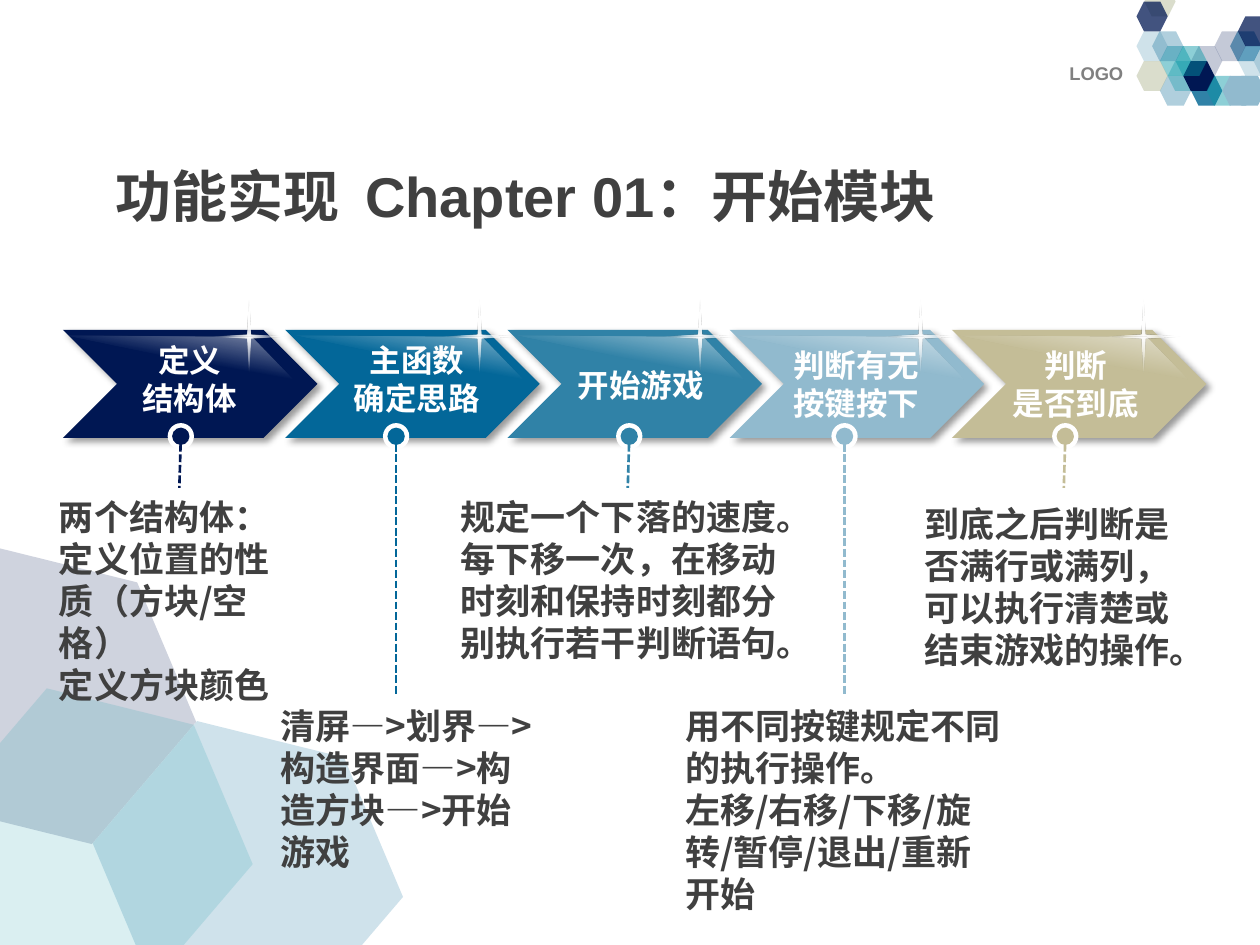
import pptx
import pptx.dml.color
import pptx.enum.dml
import pptx.enum.shapes
import pptx.enum.text
import pptx.oxml
import pptx.oxml.ns
import pptx.util
import lxml.etree

Cm = pptx.util.Cm
SHAPES = pptx.enum.shapes.MSO_SHAPE
CJK = "Noto Sans CJK SC"
GREY = "404040"
DRAWING = 'xmlns:a="http://schemas.openxmlformats.org/drawingml/2006/main"'

ARROW_WIDTH, ARROW_HEIGHT, ARROW_PITCH = 5.13, 2.18, 4.48

# Offsets in cm are measured from the top left corner of each arrow.
STAGES = [
    dict(color="001753", label=["定义", "结构体"], label_at=(0.56, 0.11, 3.99),
         star_x=2.95, pin_x=2.11, pin_length=1.04, drift=-0.03,
         body=["两个结构体：", "定义位置的性质（方块/空格）", "定义方块颜色"],
         body_at=(-0.33, 3.21, 5.41, 3.68)),
    dict(color="036799", label=["主函数", "确定思路"], label_at=(0.6, 0.11, 4.11),
         star_x=3.11, pin_x=1.97, pin_length=5.23, drift=0,
         body=["清屏—>划界—>构造界面—>构造方块—>开始游戏"],
         body_at=(-0.34, 7.42, 5.66, 3.68)),
    dict(color="3082A7", label=["开始游戏"], label_at=(0.69, 0.61, 3.99),
         star_x=3.08, pin_x=2.19, pin_length=1.04, drift=-0.03,
         body=["规定一个下落的速度。",
               "每下移一次，在移动时刻和保持时刻都分别执行若干判断语句。"],
         body_at=(-1.19, 3.21, 7.01, 3.68)),
    dict(color="91BACE", label=["判断有无", "按键按下"], label_at=(0.56, 0.2, 3.99),
         star_x=3.04, pin_x=2.05, pin_length=5.23, drift=0,
         body=["用不同按键规定不同的执行操作。",
               "左移/右移/下移/旋转/暂停/退出/重新开始"],
         body_at=(-1.15, 7.42, 6.88, 4.52)),
    dict(color="C4BD97", label=["判断", "是否到底"], label_at=(0.5, 0.2, 3.99),
         star_x=3.06, pin_x=2.02, pin_length=1.04, drift=-0.03,
         body=["到底之后判断是否满行或满列，可以执行清楚或结束游戏的操作。"],
         body_at=(-0.8, 3.36, 6.05, 3.68)),
]

# Honeycomb cells: column, row, colour, opacity in percent
CELLS = [
    (3, 5, "3082A7", 38), (3, 3, "0797A6", 46), (7, 5, "3082A7", 100),
    (7, 3, "001753", 23), (4, 4, "0797A6", 34), (6, 4, "001753", 100),
    (9, 5, "0797A6", 46), (12.5, 5, "91BACE", 100), (11, 5, "91BACE", 100),
    (13, 3, "3082A7", 23), (15, 3, "3082A7", 23), (12, 2, "036799", 54),
    (13, 1, "001753", 74), (10, 2, "001753", 23), (5, 3, "0797A6", 46),
    (2, 2, "3082A7", 38), (1, -1, "AFB591", 46), (0, 4, "AFB591", 46),
    (0, 2, "3082A7", 23), (0, 0, "001753", 74),
]


def rgb(color):
    return pptx.dml.color.RGBColor.from_string(color)


def xml(markup):
    return pptx.oxml.parse_xml(markup)


def paint(shape, color, opacity=100):
    shape.shadow.inherit = False
    shape.line.fill.background()
    shape.fill.solid()
    shape.fill.fore_color.rgb = rgb(color)
    if opacity < 100:
        tint = shape.fill._xPr.find(".//" + pptx.oxml.ns.qn("a:srgbClr"))
        tint.append(xml(f'<a:alpha {DRAWING} val="{opacity * 1000}"/>'))


def paint_glow(shape, stops, direction):
    """Fill with white of varying opacity; stops are (position, opacity)."""
    paint(shape, "FFFFFF")
    marks = "".join(
        f'<a:gs pos="{place * 1000}"><a:srgbClr val="FFFFFF">'
        f'<a:alpha val="{opacity * 1000}"/></a:srgbClr></a:gs>'
        for place, opacity in stops)
    solid = shape.fill._xPr.find(pptx.oxml.ns.qn("a:solidFill"))
    solid.getparent().replace(solid, xml(
        f'<a:gradFill {DRAWING} rotWithShape="1"><a:gsLst>{marks}</a:gsLst>'
        f'{direction}</a:gradFill>'))


def add_shape(page, kind, left, top, width, height, turn=0):
    shape = page.shapes.add_shape(kind, Cm(left), Cm(top), Cm(width), Cm(height))
    shape.rotation = turn
    return shape


def add_text(page, lines, left, top, width, height, size, color,
             font=CJK, centred=False, spacing=None, grow=True):
    box = page.shapes.add_textbox(Cm(left), Cm(top), Cm(width), Cm(height))
    frame = box.text_frame
    frame.word_wrap = True
    if grow:
        frame.auto_size = pptx.enum.text.MSO_AUTO_SIZE.SHAPE_TO_FIT_TEXT
    frame.text = "\n".join(lines)
    for para in frame.paragraphs:
        if centred:
            para.alignment = pptx.enum.text.PP_ALIGN.CENTER
        if spacing:
            para.line_spacing = pptx.util.Pt(spacing)
        for span in para.runs:
            span.font.size = pptx.util.Pt(size)
            span.font.bold = True
            span.font.name = font
            span.font.color.rgb = rgb(color)
            span.font._rPr.append(xml(f'<a:ea {DRAWING} typeface="{CJK}"/>'))
    return box


def draw_background(page):
    # Honeycomb in the top right corner
    for column, row, color, opacity in CELLS:
        cell = add_shape(page, SHAPES.HEXAGON, 22.91 + column * 2.36 / 15,
                         0.03 + row * 0.3, 0.63, 0.6, 180)
        paint(cell, color, opacity)
    # Large tilted hexagons in the bottom left corner
    for left, top, color, opacity in [(-2.16, 11.28, "001753", 19),
                                      (2.01, 14.81, "036799", 19),
                                      (-1.02, 14.15, "0797A6", 15)]:
        paint(add_shape(page, SHAPES.HEXAGON, left, top, 5.97, 5.46, 130.5),
              color, opacity)


def draw_heading(page, left, top, width, height):
    title = add_text(page, ["功能实现  Chapter 01：开始模块"], left, top, width,
                     height, 32, GREY, font="Arial", grow=False)
    title.text_frame.vertical_anchor = pptx.enum.text.MSO_ANCHOR.MIDDLE


def draw_arrow(page, stage, left, top):
    arrow = add_shape(page, SHAPES.CHEVRON, left, top, ARROW_WIDTH, ARROW_HEIGHT)
    paint(arrow, stage["color"])
    effects = arrow._element.spPr.find(pptx.oxml.ns.qn("a:effectLst"))
    effects.append(xml(
        f'<a:outerShdw {DRAWING} blurRad="50800" dist="38100" dir="2700000" '
        'algn="tl" rotWithShape="0"><a:srgbClr val="000000">'
        '<a:alpha val="40000"/></a:srgbClr></a:outerShdw>'))


def draw_body(page, stage, left, top):
    x, y, width, height = stage["body_at"]
    add_text(page, stage["body"], left + x, top + y, width, height, 20, GREY,
             spacing=24)


def draw_pin(page, stage, left, top):
    x, y, size = left + stage["pin_x"], top + 1.88, 0.53
    paint(add_shape(page, SHAPES.OVAL, x, y, size, size, 120), "FFFFFF")
    x, y = x + size / 2, y + size / 2
    stem = page.shapes.add_connector(
        pptx.enum.shapes.MSO_CONNECTOR.STRAIGHT, Cm(x), Cm(y),
        Cm(x + stage["drift"]), Cm(y + stage["pin_length"]))
    stem.line.width = pptx.util.Pt(1.5)
    stem.line.color.rgb = rgb(stage["color"])
    stem.line.dash_style = pptx.enum.dml.MSO_LINE.SQUARE_DOT
    stem.line._get_or_add_ln().append(
        xml(f'<a:headEnd {DRAWING} type="oval" w="lg" len="lg"/>'))
    lxml.etree.SubElement(stem._element.spPr, pptx.oxml.ns.qn("a:effectLst"))


def draw_label(page, stage, left, top):
    x, y, width = stage["label_at"]
    height = 0.25 + 0.77 * len(stage["label"])
    add_text(page, stage["label"], left + x, top + y, width, height, 18,
             "FFFFFF", centred=True, spacing=21.6)


def draw_shine(page, stage, left, top):
    x = left + stage["star_x"]
    # Sparkle
    star = add_shape(page, SHAPES.STAR_4_POINT, x, top - 0.66, 1.6, 1.6, 90)
    star.adjustments[0] = 0.038
    paint_glow(star, [(0, 100), (66, 0), (100, 0)],
               '<a:path path="circle"><a:fillToRect l="50000" t="50000" '
               'r="50000" b="50000"/></a:path>')
    # Gloss along the upper edge
    x, y = x - 2.92, top + 0.11
    outline = page.shapes.build_freeform(Cm(x), Cm(y))
    outline.add_line_segments([(Cm(x + 3.78), Cm(y + 0.03)),
                               (Cm(x + 4.7), Cm(y + 0.97))], close=True)
    paint_glow(outline.convert_to_shape(), [(0, 0), (50, 0), (100, 54)],
               '<a:lin ang="16800000" scaled="0"/>')


def draw_process(page, left, top):
    for draw_part in (draw_arrow, draw_body, draw_pin, draw_label, draw_shine):
        for index, stage in enumerate(STAGES):
            draw_part(page, stage, left + index * ARROW_PITCH, top)


def main():
    deck = pptx.Presentation()
    deck.slide_width, deck.slide_height = Cm(25.4), Cm(19.05)
    page = deck.slides.add_slide(deck.slide_layouts[6])
    draw_background(page)
    add_text(page, ["LOGO"], 21.31, 1.12, 1.65, 0.71, 10.5, "808080", font="Arial")
    draw_heading(page, 2.08, 2.77, 21.59, 2.34)
    draw_process(page, 1.27, 6.65)
    deck.save("out.pptx")


if __name__ == "__main__":
    main()
